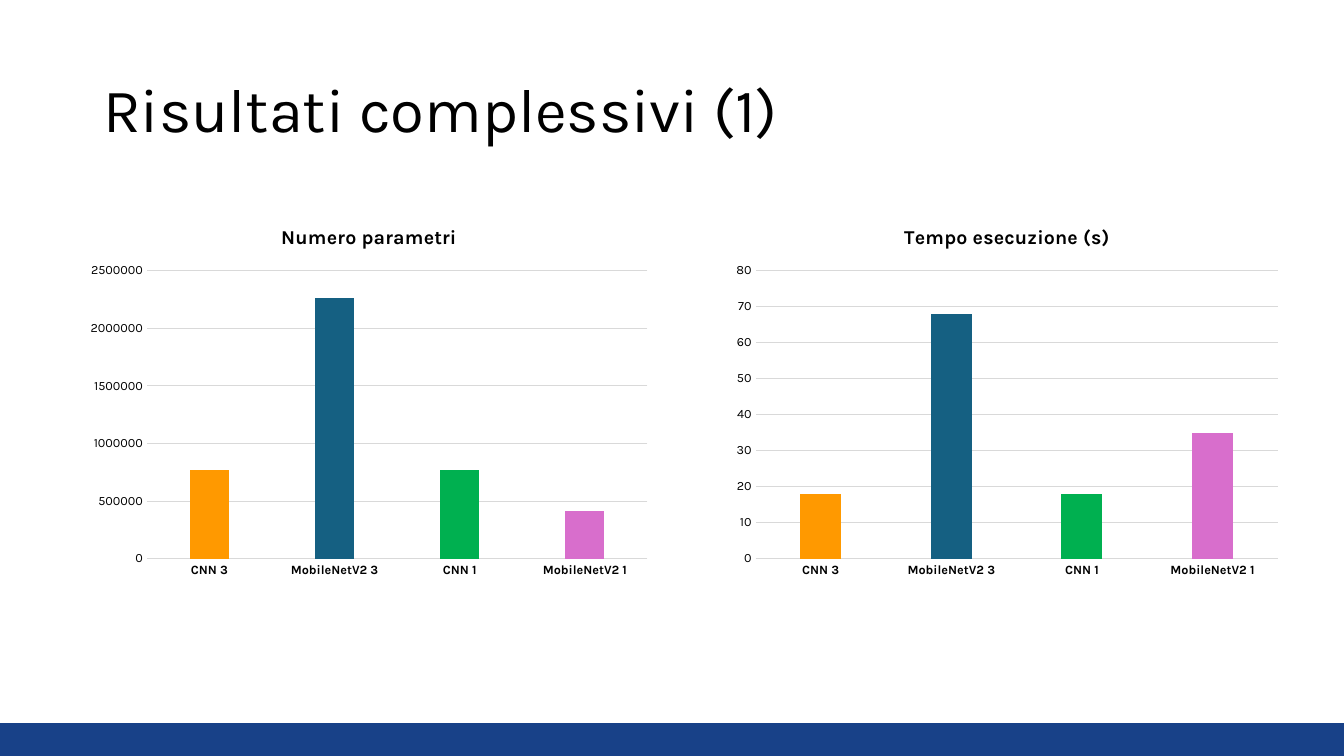
from pptx import Presentation
from pptx.chart.data import CategoryChartData
from pptx.dml.color import RGBColor
from pptx.enum.chart import XL_CHART_TYPE, XL_TICK_MARK
from pptx.enum.shapes import MSO_SHAPE
from pptx.enum.text import MSO_ANCHOR, PP_ALIGN
from pptx.util import Emu, Pt

PX = 914400 / 100.8
FONT = "Karla"
BLUE, GRID = "184188", "D9D9D9"
MODELS = {
    "CNN 3": "FF9900",
    "MobileNetV2 3": "156082",
    "CNN 1": "00B050",
    "MobileNetV2 1": "D86ECC",
}
CHARTS = [
    ("Numero parametri", (770000, 2260000, 770000, 410000), 500000, (79, 208, 580, 377)),
    ("Tempo esecuzione (s)", (18, 68, 18, 35), 10, (725, 208, 564, 377)),
]


def box(*lengths):
    """Turn px lengths into EMU."""
    return [Emu(round(n * PX)) for n in lengths]


def style(font, size, bold=False, color="000000"):
    for name, value in {"name": FONT, "size": Pt(size), "bold": bold}.items():
        setattr(font, name, value)
    font.color.rgb = RGBColor.from_string(color)


prs = Presentation()
prs.slide_width, prs.slide_height = box(1344, 756)
s = prs.slides.add_slide(prs.slide_layouts[5])

# Title
title = s.shapes.title
title.left, title.top, title.width, title.height = box(93, 40, 1159, 146)
tf = title.text_frame
tf.vertical_anchor = MSO_ANCHOR.MIDDLE
p = tf.paragraphs[0]
p.alignment = PP_ALIGN.LEFT
p.line_spacing = 0.9
r = p.add_run()
r.text = "Risultati complessivi (1)"
style(r.font, 44)

# Footer band
band = s.shapes.add_shape(MSO_SHAPE.RECTANGLE, *box(0, 724, 1344, 32))
band.shadow.inherit = False
band.fill.solid()
band.fill.fore_color.rgb = RGBColor.from_string(BLUE)
band.line.color.rgb = RGBColor.from_string(BLUE)
band.line.width = Pt(1.5)

# Column charts, one colour per model
for name, values, step, place in CHARTS:
    data = CategoryChartData()
    data.categories = list(MODELS)
    data.add_series(name, values)
    chart = s.shapes.add_chart(XL_CHART_TYPE.COLUMN_CLUSTERED, *box(*place), data).chart
    style(chart.font, 10)
    chart.has_legend = False
    chart.has_title = True
    p = chart.chart_title.text_frame.paragraphs[0]
    r = p.add_run()
    r.text = name
    style(r.font, 14, bold=True)
    chart.chart_title.include_in_layout = False

    cat_axis, val_axis = chart.category_axis, chart.value_axis
    for axis, bold in ((cat_axis, True), (val_axis, False)):
        axis.major_tick_mark = axis.minor_tick_mark = XL_TICK_MARK.NONE
        style(axis.tick_labels.font, 9, bold)
    val_axis.format.line.fill.background()
    val_axis.minimum_scale = 0
    val_axis.major_unit = step
    val_axis.has_major_gridlines = True
    for line in (cat_axis.format.line, val_axis.major_gridlines.format.line):
        line.color.rgb = RGBColor.from_string(GRID)
        line.width = Pt(0.75)

    plot = chart.plots[0]
    for key, value in {"gap_width": 219, "overlap": -27, "vary_by_categories": False}.items():
        setattr(plot, key, value)
    series = plot.series[0]
    series.invert_if_negative = False
    for i, color in enumerate(MODELS.values()):
        fill = series.points[i].format.fill
        fill.solid()
        fill.fore_color.rgb = RGBColor.from_string(color)

prs.save("out.pptx")
